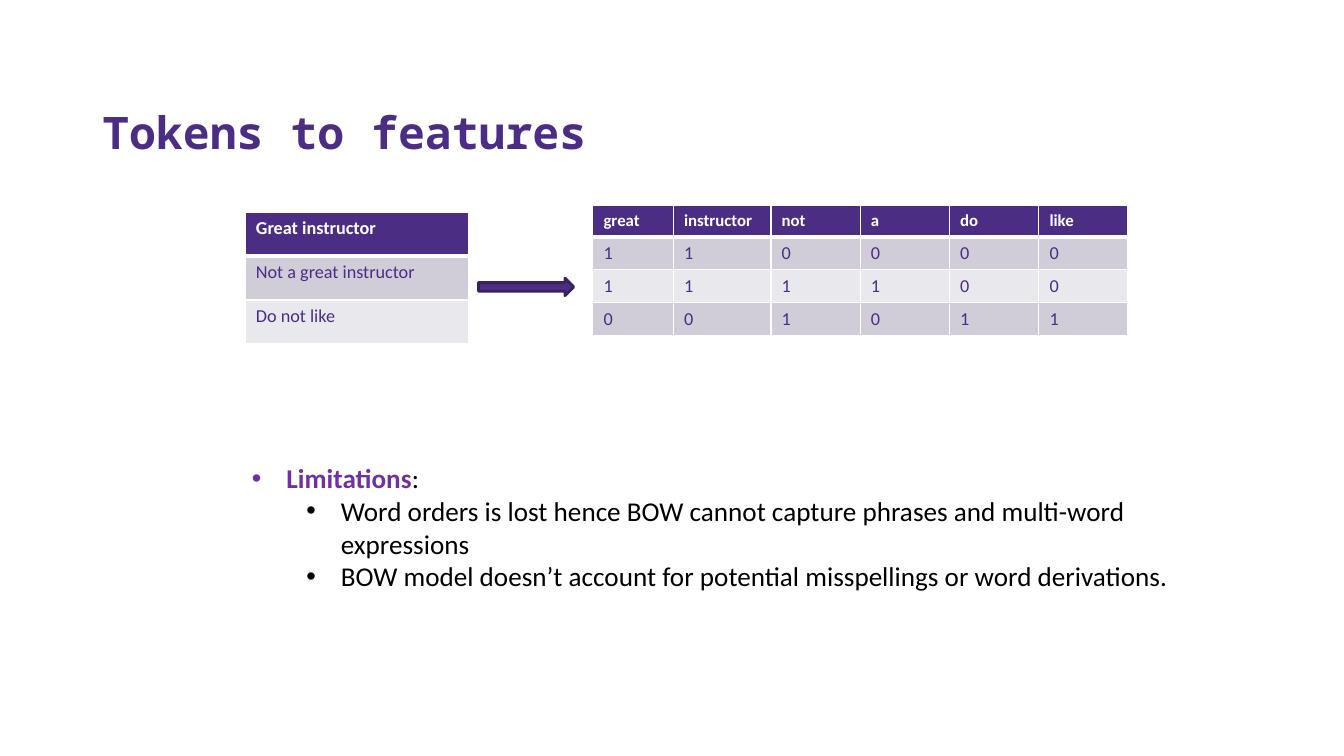
from dataclasses import dataclass
from typing import Any

from lxml import etree
from pptx import Presentation
from pptx import util as u
from pptx.dml import color
from pptx.enum import shapes, text
from pptx.oxml import ns


@dataclass(frozen=True)
class Theme:
    purple: str = "4B2E83"
    arrow_edge: str = "372261"
    accent: str = "7030A0"
    black: str = "000000"
    white: str = "FFFFFF"
    bands: tuple[str, str] = ("D0CDD9", "E9E8ED")
    body_font: str = "Calibri"
    title_font: str = "Noto Sans Mono"
    title_size: float = 32
    cell_size: float = 13
    word_size: float = 12
    list_size: float = 19.4


@dataclass(frozen=True)
class Box:
    left: float
    top: float
    width: float
    height: float

    def lengths(self) -> tuple[u.Cm, ...]:
        return tuple(u.Cm(n) for n in (self.left, self.top, self.width, self.height))


@dataclass(frozen=True)
class TokenTable:
    left: float
    top: float
    columns: tuple[float, ...]
    heights: tuple[float, ...]
    header_size: float
    rows: tuple[tuple[str, ...], ...]


@dataclass(frozen=True)
class Bullet:
    level: int
    indent: float
    runs: tuple[tuple[str, str, bool], ...]


THEME = Theme()
HANGING = 0.87

TABLES = (
    TokenTable(6.18, 5.34, (5.64,), (1.11,) * 3, THEME.cell_size,
               (("Great instructor",), ("Not a great instructor",), ("Do not like",))),
    TokenTable(14.94, 5.18, (2.03, 2.46) + (2.25,) * 4, (0.79,) + (0.83,) * 3,
               THEME.word_size,
               (("great", "instructor", "not", "a", "do", "like"),
                tuple("110000"), tuple("111100"), tuple("001011"))),
)

BULLETS = (
    Bullet(0, 0.87, (("Limitations", THEME.accent, True), (":", THEME.black, False))),
    Bullet(1, 2.24, (("Word orders is lost hence BOW cannot capture phrases and "
                      "multi-word expressions", THEME.black, False),)),
    Bullet(1, 2.24, (("BOW model doesn’t account for potential misspellings or "
                      "word derivations.", THEME.black, False),)),
)


def apply_format(target: Any, values: dict[str, Any]) -> None:
    for name, value in values.items():
        setattr(target, name, value)


def add_run(paragraph: Any, wording: str, font: str, size: float,
            colour: str, bold: bool) -> None:
    run = paragraph.add_run()
    run.text = wording
    apply_format(run.font, {"name": font, "size": u.Pt(size), "bold": bold})
    run.font.color.rgb = color.RGBColor.from_string(colour)


def add_text_frame(slide: Any, box: Box) -> Any:
    frame = slide.shapes.add_textbox(*box.lengths()).text_frame
    frame.word_wrap = True
    return frame


def set_borders(cell: Any, top: float, bottom: float) -> None:
    properties = cell._tc.get_or_add_tcPr()
    sides = {"lnL": 1, "lnR": 1, "lnT": top, "lnB": bottom}
    for position, (side, width) in enumerate(sides.items()):
        line = etree.Element(ns.qn(f"a:{side}"), w=str(int(u.Pt(width))))
        fill = etree.SubElement(line, ns.qn("a:solidFill"))
        etree.SubElement(fill, ns.qn("a:srgbClr"), val=THEME.white)
        properties.insert(position, line)


def add_token_table(slide: Any, content: TokenTable) -> None:
    box = Box(content.left, content.top, sum(content.columns), sum(content.heights))
    table = slide.shapes.add_table(
        len(content.rows), len(content.columns), *box.lengths()).table
    apply_format(table, {"first_row": False, "horz_banding": False})
    for column, width in zip(table.columns, content.columns):
        column.width = u.Cm(width)
    for index, (row, height, words) in enumerate(
            zip(table.rows, content.heights, content.rows)):
        row.height = u.Cm(height)
        header = index == 0
        fill = THEME.purple if header else THEME.bands[(index - 1) % 2]
        ink = THEME.white if header else THEME.purple
        size = content.header_size if header else THEME.cell_size
        for cell, word in zip(row.cells, words):
            cell.fill.solid()
            cell.fill.fore_color.rgb = color.RGBColor.from_string(fill)
            apply_format(cell, {
                "margin_left": u.Cm(0.27), "margin_right": u.Cm(0.27),
                "margin_top": u.Cm(0.13), "margin_bottom": u.Cm(0.13),
            })
            set_borders(cell, 3 if index == 1 else 1, 3 if header else 1)
            add_run(cell.text_frame.paragraphs[0], word, THEME.body_font,
                    size, ink, header)


def add_title(slide: Any) -> None:
    frame = add_text_frame(slide, Box(2.33, 1.02, 29.21, 3.05))
    apply_format(frame, {"vertical_anchor": text.MSO_ANCHOR.BOTTOM,
                         "margin_bottom": u.Cm(0.08)})
    add_run(frame.paragraphs[0], "Tokens to features", THEME.title_font,
            THEME.title_size, THEME.purple, True)


def add_arrow(slide: Any) -> None:
    arrow = slide.shapes.add_shape(
        shapes.MSO_SHAPE.RIGHT_ARROW, *Box(12.06, 7.01, 2.4, 0.44).lengths())
    arrow.shadow.inherit = False
    arrow.fill.solid()
    arrow.fill.fore_color.rgb = color.RGBColor.from_string(THEME.purple)
    arrow.line.color.rgb = color.RGBColor.from_string(THEME.arrow_edge)
    arrow.line.width = u.Pt(2)


def add_limitations(slide: Any) -> None:
    frame = add_text_frame(slide, Box(6.1, 11.51, 24.18, 3.58))
    for index, bullet in enumerate(BULLETS):
        paragraph = frame.add_paragraph() if index else frame.paragraphs[0]
        paragraph.level = bullet.level
        properties = paragraph._p.get_or_add_pPr()
        properties.set("marL", str(int(u.Cm(bullet.indent))))
        properties.set("indent", str(-int(u.Cm(HANGING))))
        etree.SubElement(properties, ns.qn("a:buFont"), typeface="Arial")
        etree.SubElement(properties, ns.qn("a:buChar"), char="•")
        for wording, colour, bold in bullet.runs:
            add_run(paragraph, wording, THEME.body_font, THEME.list_size, colour, bold)


def main() -> None:
    presentation = Presentation()
    apply_format(presentation, {"slide_width": u.Cm(33.87), "slide_height": u.Cm(19.05)})
    slide = presentation.slides.add_slide(presentation.slide_layouts[6])
    add_title(slide)
    for content in TABLES:
        add_token_table(slide, content)
    add_arrow(slide)
    add_limitations(slide)
    presentation.save("out.pptx")


if __name__ == "__main__":
    main()
